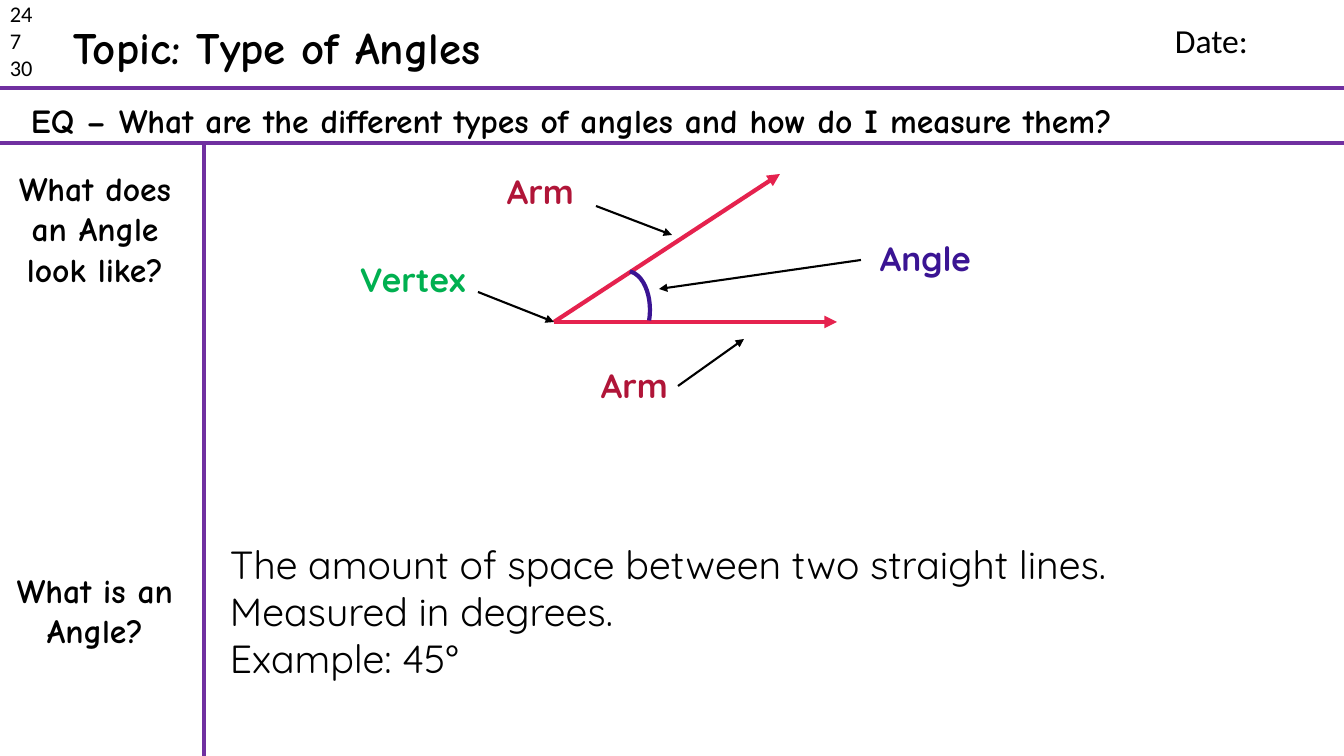
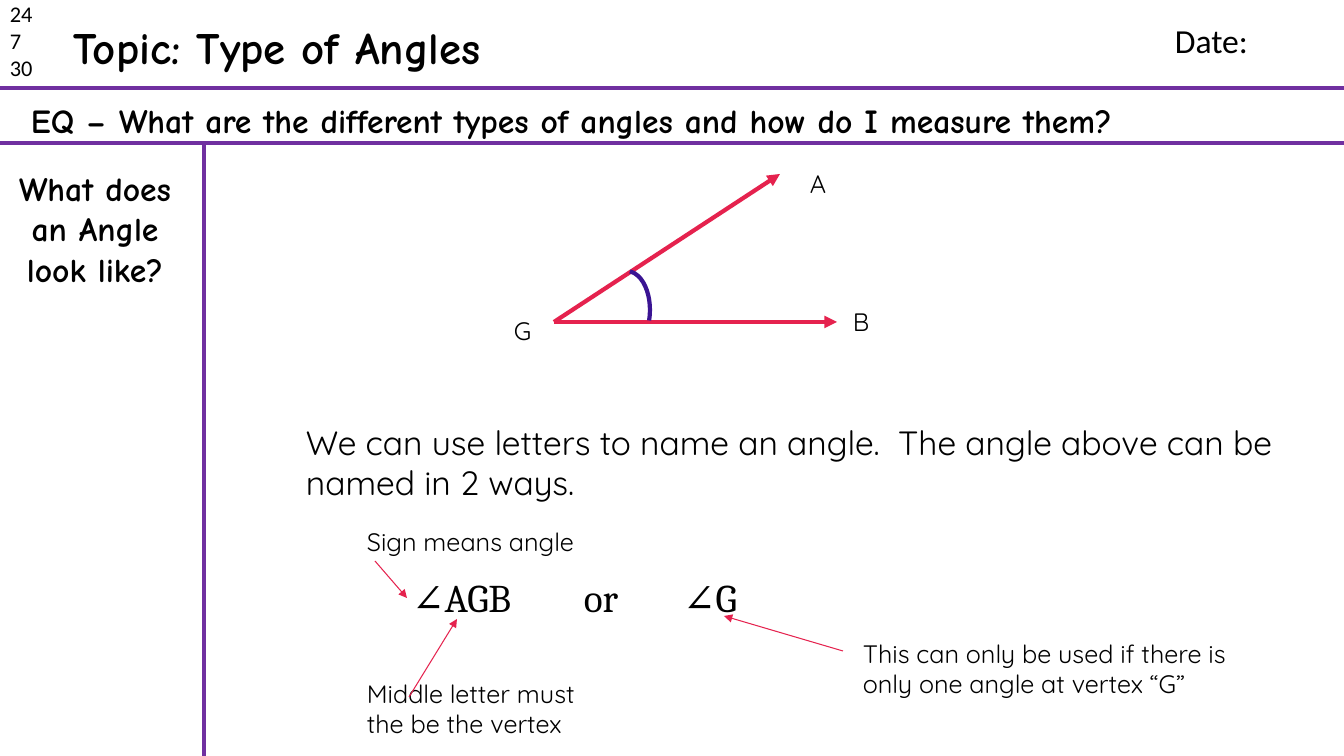
from lxml import etree
from pptx import Presentation
from pptx.dml.color import RGBColor
from pptx.enum.shapes import MSO_CONNECTOR, MSO_SHAPE
from pptx.enum.text import MSO_ANCHOR, MSO_AUTO_SIZE, PP_ALIGN
from pptx.oxml.ns import qn
from pptx.util import Emu, Pt

LEFT, MID = PP_ALIGN.LEFT, PP_ALIGN.CENTER
TOP, FIXED = MSO_ANCHOR.TOP, MSO_AUTO_SIZE.NONE
STRAIGHT, ARC = MSO_CONNECTOR.STRAIGHT, MSO_SHAPE.ARC

# Page and colours
WIDE, HIGH = 1344, 756
SCALE = 12192000 / WIDE
BLACK, RULE, RAY = "000000", "7030A0", "E5224E"
ARM, BLUE, GREEN = "B01538", "3A1493", "00B050"

# Text styles: font values, then colour, alignment and wrap
STYLES = {
    "topic": {"name": "Comic Neue", "size": Pt(32), "bold": True},
    "head": {"name": "Comic Neue", "size": Pt(24), "bold": True},
    "plain": {"name": "Calibri", "size": Pt(24), "bold": False},
    "small": {"name": "Calibri", "size": Pt(16), "bold": False},
    "label": {"name": "Quicksand", "size": Pt(24), "bold": True},
    "body": {"name": "Quicksand", "size": Pt(28), "bold": False},
    "lead": {"name": "Quicksand", "size": Pt(24), "bold": False},
    "note": {"name": "Quicksand", "size": Pt(18), "bold": False},
    "math": {"name": "Cambria", "size": Pt(28), "bold": False},
}

# Shared content: rules, page text and the angle
TOPIC = ("Topic: Type of Angles", (63, 15, 452, 64))
RULES = [
    (0, 88, WIDE, 88),
    (0, 143, WIDE, 143),
    (204, 143, 204, HIGH),
]
FRAME = [
    ("24\n7\n30", (0, -5, 64, 92), "small"),
    ("Date:", (1165, 15, 132, 50), "plain"),
    ("EQ – What are the different types of angles and how do I measure them?",
     (21, 95, 1169, 50), "head"),
]
CUE = ("What does an Angle look like?", (0, 163, 190, 132))
VERTEX = (554, 322)
TIPS = [(837, 322), (780, 174)]
CURVE = (604, 271, 46, 78)
SWEEP = (164.61, 15.15)

# Content of each slide
SLIDES = [
    {
        "cues": [CUE, ("What is an Angle?", (0, 565, 190, 92))],
        "texts": [
            ("The amount of space between two straight lines. "
             "Measured in degrees.\nExample: 45°",
             (220, 535, 1052, 152), "body"),
        ],
        "labels": [
            ("Arm", (497, 166, 88, 50), ARM),
            ("Arm", (591, 360, 88, 50), ARM),
            ("Angle", (870, 233, 118, 50), BLUE),
            ("Vertex", (350, 254, 128, 50), GREEN),
        ],
        "arrows": [
            (596, 206, 672, 235),
            (678, 386, 744, 339),
            (861, 260, 659, 289),
            (478, 292, *VERTEX),
        ],
        "pen": (BLACK, 1.5),
    },
    {
        "cues": [CUE],
        "texts": [
            ("A", (800, 163, 37, 40), "note"),
            ("B", (843, 301, 37, 40), "note"),
            ("G", (504, 310, 37, 40), "note"),
            ("We can use letters to name an angle.  "
             "The angle above can be named in 2 ways.",
             (296, 417, 1008, 92), "lead"),
            ("∠AGB", (402, 568, 140, 56), "math"),
            ("or", (574, 568, 70, 56), "math"),
            ("∠G", (673, 568, 90, 56), "math"),
            ("Sign means angle", (357, 521, 242, 40), "note"),
            ("Middle letter must the be the vertex",
             (357, 673, 242, 72), "note"),
            ("This can only be used if there is only one angle "
             "at vertex “G”", (853, 633, 402, 72), "note"),
        ],
        "labels": [],
        "arrows": [
            (375, 561, 407, 598),
            (409, 697, 457, 619),
            (843, 651, 724, 616),
        ],
        "pen": (RAY, 0.75),
    },
]


def px(*nums):
    return [Emu(round(n * SCALE)) for n in nums]


def tint(code):
    return RGBColor.from_string(code)


def fill_text(shape, text, style, color=BLACK, align=LEFT, wrap=True):
    frame = shape.text_frame
    frame.text = text
    form = {"word_wrap": wrap, "auto_size": FIXED, "vertical_anchor": TOP}
    for key, val in form.items():
        setattr(frame, key, val)
    for para in frame.paragraphs:
        para.alignment = align
        for run in para.runs:
            for key, val in STYLES[style].items():
                setattr(run.font, key, val)
            run.font.color.rgb = tint(color)


def add_text(slide, text, box, style, **opts):
    fill_text(slide.shapes.add_textbox(*px(*box)), text, style, **opts)


def ink(line, color, width):
    line.color.rgb = tint(color)
    line.width = Pt(width)


def add_line(slide, ends, color, width, head=True):
    line = slide.shapes.add_connector(STRAIGHT, *px(*ends))
    ink(line.line, color, width)
    if head:
        tail = etree.SubElement(line.line._get_or_add_ln(), qn("a:tailEnd"))
        tail.set("type", "triangle")
    etree.SubElement(line._element.spPr, qn("a:effectLst"))


def add_frame(slide):
    # Topic, rules and header text
    text, box = TOPIC
    title = slide.shapes.title
    title.left, title.top, title.width, title.height = px(*box)
    fill_text(title, text, "topic", wrap=False)
    for ends in RULES:
        add_line(slide, ends, RULE, 2.25, head=False)
    for text, box, style in FRAME:
        add_text(slide, text, box, style)


def add_angle(slide):
    # Two rays and the arc between them
    for tip in TIPS:
        add_line(slide, (*VERTEX, *tip), RAY, 3)
    arc = slide.shapes.add_shape(ARC, *px(*CURVE))
    for num, turn in enumerate(SWEEP):
        arc.adjustments[num] = turn
    arc.shadow.inherit = False
    arc.fill.background()
    ink(arc.line, BLUE, 3)


def main():
    deck = Presentation()
    deck.slide_width, deck.slide_height = px(WIDE, HIGH)
    for data in SLIDES:
        slide = deck.slides.add_slide(deck.slide_layouts[5])
        add_frame(slide)
        add_angle(slide)
        # Cues at the left, then notes and pointers
        for text, box in data["cues"]:
            add_text(slide, text, box, "head", align=MID)
        for text, box, style in data["texts"]:
            add_text(slide, text, box, style)
        for text, box, color in data["labels"]:
            add_text(slide, text, box, "label", color=color, wrap=False)
        for ends in data["arrows"]:
            add_line(slide, ends, *data["pen"])
    deck.save("out.pptx")


if __name__ == "__main__":
    main()
